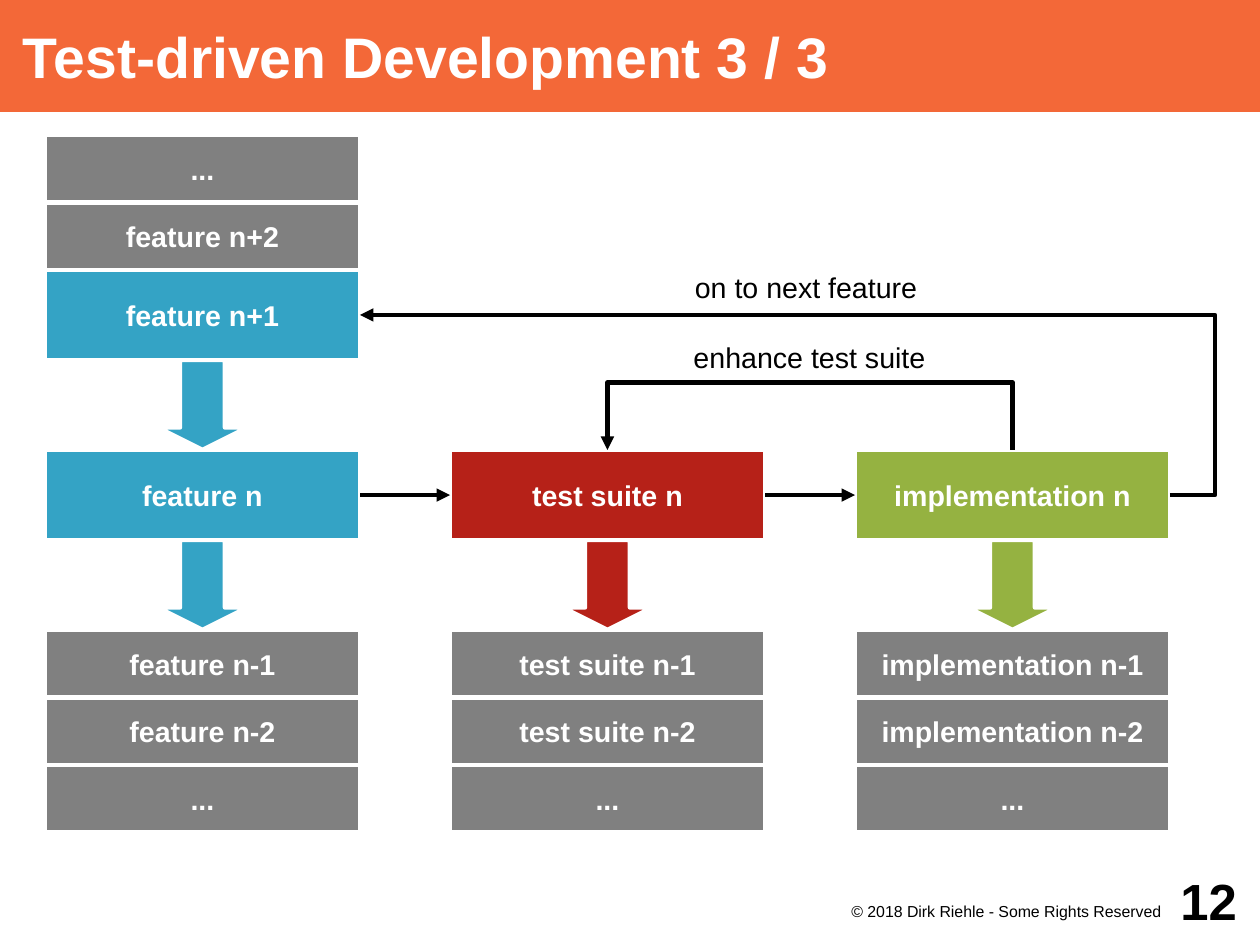
import pptx
import pptx.dml.color
import pptx.enum.shapes
import pptx.enum.text
import pptx.oxml.ns
import pptx.util
import lxml.etree

RGB = pptx.dml.color.RGBColor
SHAPE = pptx.enum.shapes.MSO_SHAPE
ALIGN = pptx.enum.text.PP_ALIGN
ANCHOR = pptx.enum.text.MSO_ANCHOR

ORANGE = RGB(0xF3, 0x68, 0x38)
BLUE = RGB(0x34, 0xA3, 0xC5)
RED = RGB(0xB6, 0x21, 0x18)
GREEN = RGB(0x95, 0xB2, 0x41)
GRAY = RGB(0x80, 0x80, 0x80)
WHITE = RGB(0xFF, 0xFF, 0xFF)
BLACK = RGB(0, 0, 0)

# Content
TITLE = "Test-driven Development 3 / 3"
UPCOMING = ["...", "feature n+2"]
NEXT_FEATURE = "feature n+1"
COLUMNS = [
    ("feature n", BLUE, ["feature n-1", "feature n-2", "..."]),
    ("test suite n", RED, ["test suite n-1", "test suite n-2", "..."]),
    ("implementation n", GREEN, ["implementation n-1", "implementation n-2", "..."]),
]
NEXT_LABEL = "on to next feature"
ENHANCE_LABEL = "enhance test suite"
COPYRIGHT = "© 2018 Dirk Riehle - Some Rights Reserved"
PAGE = "12"

# Layout in px
SCALE = 8000
SLIDE_W, SLIDE_H = 1260, 945
LEFT, COLUMN_STEP, BOX_W = 45, 405, 315
STEP_H = 90
STACK_H = 135 / 2
UPCOMING_TOP = 135
NEXT_TOP = UPCOMING_TOP + len(UPCOMING) * STACK_H
CURRENT_TOP = NEXT_TOP + 2 * STEP_H
DONE_TOP = CURRENT_TOP + 2 * STEP_H
CURRENT_MID = CURRENT_TOP + STEP_H / 2
LINE_WIDTH = pptx.util.Pt(2.83)


def px(length):
    return pptx.util.Emu(round(length * SCALE))


def column_left(index):
    return LEFT + index * COLUMN_STEP


def column_mid(index):
    return column_left(index) + BOX_W / 2


def write(shape, text, size, color, bold, align, anchor, insets, wrap=True):
    frame = shape.text_frame
    frame.auto_size = pptx.enum.text.MSO_AUTO_SIZE.NONE
    frame.word_wrap = wrap
    frame.vertical_anchor = anchor
    (frame.margin_left, frame.margin_top,
     frame.margin_right, frame.margin_bottom) = map(px, insets)
    paragraph = frame.paragraphs[0]
    paragraph.alignment = align
    run = paragraph.add_run()
    run.text = text
    run.font.name = "Arial"
    run.font.size = pptx.util.Pt(size)
    run.font.bold = bold
    run.font.color.rgb = color


def add_filled(slide, kind, left, top, width, height, color):
    shape = slide.shapes.add_shape(kind, px(left), px(top), px(width), px(height))
    shape.shadow.inherit = False
    shape.fill.solid()
    shape.fill.fore_color.rgb = color
    shape.line.color.rgb = WHITE
    shape.line.width = LINE_WIDTH
    return shape


def add_box(slide, text, left, top, height, color):
    box = add_filled(slide, SHAPE.RECTANGLE, left, top, BOX_W, height, color)
    write(box, text, 18, WHITE, True, ALIGN.CENTER, ANCHOR.MIDDLE, (11, 6, 11, 6), False)


def add_stack(slide, texts, left, top):
    for row, text in enumerate(texts):
        add_box(slide, text, left, top + row * STACK_H, STACK_H, GRAY)


def add_block_arrow(slide, column, top, color):
    arrow = add_filled(slide, SHAPE.DOWN_ARROW, column_mid(column) - STEP_H / 2, top,
                       STEP_H, STEP_H, color)
    arrow.adjustments[0], arrow.adjustments[1] = 0.5, 0.25


def style_flow(flow):
    flow.line.color.rgb = BLACK
    flow.line.width = LINE_WIDTH
    head = lxml.etree.SubElement(flow.line._get_or_add_ln(), pptx.oxml.ns.qn("a:tailEnd"))
    head.set("type", "triangle")


def add_flow(slide, start_x, end_x, y):
    flow = slide.shapes.add_connector(pptx.enum.shapes.MSO_CONNECTOR.STRAIGHT,
                                      px(start_x), px(y), px(end_x), px(y))
    style_flow(flow)
    lxml.etree.SubElement(flow._element.spPr, pptx.oxml.ns.qn("a:effectLst"))


def add_loop(slide, points):
    (start_x, start_y), *rest = [(px(x), px(y)) for x, y in points]
    builder = slide.shapes.build_freeform(start_x, start_y)
    builder.add_line_segments(rest, close=False)
    loop = builder.convert_to_shape()
    loop.shadow.inherit = False
    loop.fill.background()
    style_flow(loop)


def add_text(slide, text, bounds, size, bold, align, anchor, insets):
    box = slide.shapes.add_textbox(*map(px, bounds))
    write(box, text, size, BLACK, bold, align, anchor, insets)


def main():
    deck = pptx.Presentation()
    deck.slide_width, deck.slide_height = px(SLIDE_W), px(SLIDE_H)
    slide = deck.slides.add_slide(deck.slide_layouts[5])

    # Title band
    title = slide.shapes.title
    title.left, title.top, title.width, title.height = map(px, (0, 0, SLIDE_W, 112))
    title.fill.solid()
    title.fill.fore_color.rgb = ORANGE
    write(title, TITLE, 36, WHITE, True, ALIGN.LEFT, ANCHOR.MIDDLE, (23, 0, 0, 0))

    # Upcoming features
    add_block_arrow(slide, 0, NEXT_TOP + STEP_H, BLUE)
    add_stack(slide, UPCOMING, LEFT, UPCOMING_TOP)
    add_box(slide, NEXT_FEATURE, LEFT, NEXT_TOP, STEP_H, BLUE)

    # Current step and finished work of each column
    for column, (current, color, done) in enumerate(COLUMNS):
        left = column_left(column)
        add_block_arrow(slide, column, CURRENT_TOP + STEP_H, color)
        add_box(slide, current, left, CURRENT_TOP, STEP_H, color)
        add_stack(slide, done, left, DONE_TOP)

    # Flow between the columns
    for column in range(len(COLUMNS) - 1):
        add_flow(slide, column_left(column) + BOX_W, column_left(column + 1), CURRENT_MID)

    # Loops back to the next feature and to the test suite
    next_y = NEXT_TOP + STEP_H / 2
    enhance_y = CURRENT_TOP - STACK_H
    right = column_left(2) + BOX_W
    add_loop(slide, [(right, CURRENT_MID), (right + 45, CURRENT_MID),
                     (right + 45, next_y), (LEFT + BOX_W, next_y)])
    add_loop(slide, [(column_mid(2), CURRENT_TOP), (column_mid(2), enhance_y),
                     (column_mid(1), enhance_y), (column_mid(1), CURRENT_TOP)])
    for label, left, bottom in [(NEXT_LABEL, 606, 313), (ENHANCE_LABEL, 607, 383)]:
        add_text(slide, label, (left, bottom - 43, 400 if label == NEXT_LABEL else 405, 43),
                 18, False, ALIGN.CENTER, ANCHOR.BOTTOM, (9, 9, 9, 9))

    # Footer
    add_text(slide, COPYRIGHT, (810, 900, 360, 45), 10, False,
             ALIGN.RIGHT, ANCHOR.TOP, (0, 2, 9, 0))
    add_text(slide, PAGE, (1148, 855, 112, 90), 32, True,
             ALIGN.RIGHT, ANCHOR.MIDDLE, (0, 0, 23, 0))

    deck.save("out.pptx")


if __name__ == "__main__":
    main()
